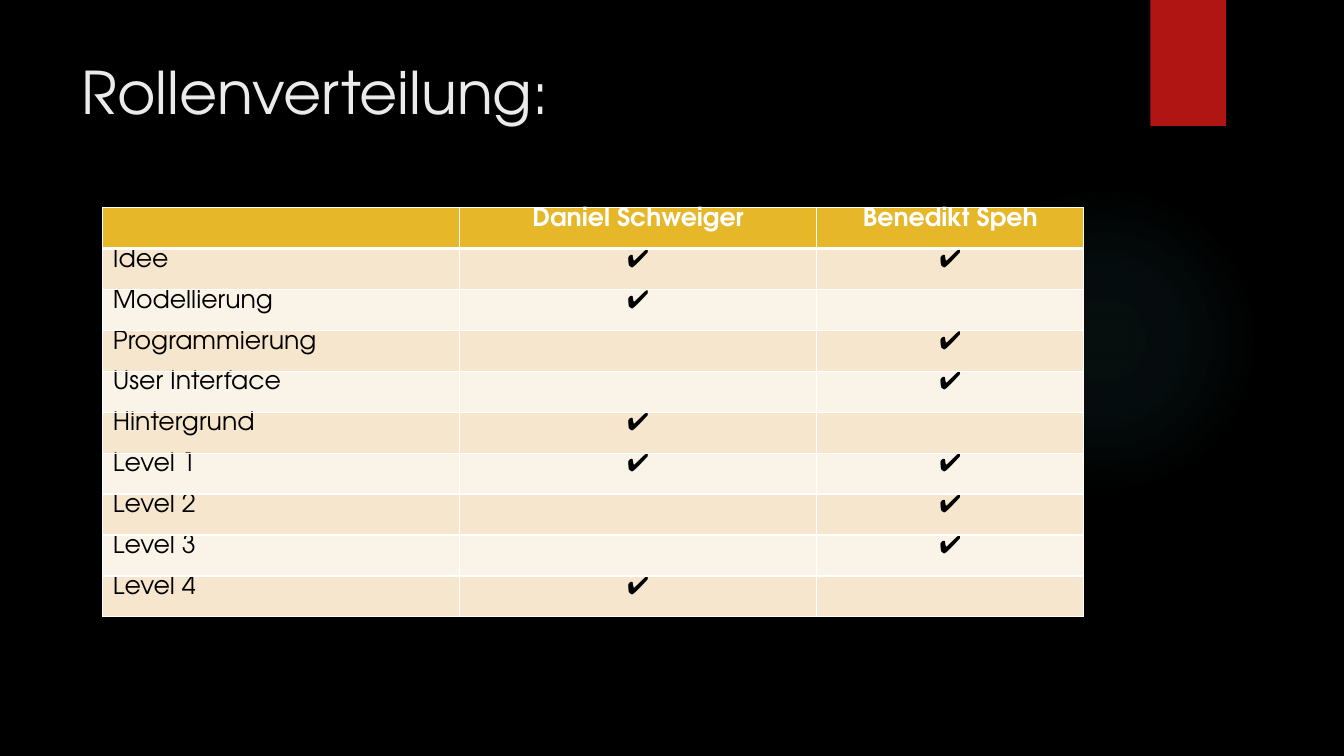
import dataclasses

import lxml.etree
import pptx
import pptx.dml.color
import pptx.dml.fill
import pptx.enum.shapes
import pptx.enum.text
import pptx.oxml
import pptx.oxml.ns
import pptx.slide
import pptx.table
import pptx.text.text
import pptx.util

SLIDE_WIDTH = pptx.util.Inches(13.33)
SLIDE_HEIGHT = pptx.util.Inches(7.5)
FONT = "TeX Gyre Adventor"
HEADER_FILL = "E6B729"
BAND_FILLS = ("F5E6CD", "FAF3E8")
CHECK = "✔"
PEOPLE = ("Daniel Schweiger", "Benedikt Speh")
COLUMN_SHARES = (26.56, 26.56, 19.88)
TITLE_FORMAT = {"name": FONT, "size": pptx.util.Pt(42), "bold": False}
HEADER_FORMAT = {"name": FONT, "size": pptx.util.Pt(18), "bold": True}
BODY_FORMAT = HEADER_FORMAT | {"bold": False}
CELL_FORMAT = {
    "margin_top": 0,
    "margin_bottom": 0,
    "vertical_anchor": pptx.enum.text.MSO_ANCHOR.TOP,
}


@dataclasses.dataclass(frozen=True)
class Area:
    left: float
    top: float
    width: float
    height: float

    def lengths(self) -> tuple[int, int, int, int]:
        return across(self.left), down(self.top), across(self.width), down(self.height)


@dataclasses.dataclass(frozen=True)
class Task:
    name: str
    daniel: bool = False
    benedikt: bool = False

    def texts(self) -> tuple[str, ...]:
        return (self.name, *(CHECK if done else "" for done in (self.daniel, self.benedikt)))


GLOW_AREA = Area(70.59, 24.4, 23.1, 41.07)
RIBBON_AREA = Area(85.6, 0, 5.63, 16.67)
TITLE_AREA = Area(5.33, 6.67, 77.19, 20.4)
TABLE_AREA = Area(7.65, 27.47, 73, 54.13)
TASKS = (
    Task("Idee", daniel=True, benedikt=True),
    Task("Modellierung", daniel=True),
    Task("Programmierung", benedikt=True),
    Task("User Interface", benedikt=True),
    Task("Hintergrund", daniel=True),
    Task("Level 1", daniel=True, benedikt=True),
    Task("Level 2", benedikt=True),
    Task("Level 3", benedikt=True),
    Task("Level 4", daniel=True),
)


def across(share: float) -> int:
    return round(SLIDE_WIDTH * share / 100)


def down(share: float) -> int:
    return round(SLIDE_HEIGHT * share / 100)


def paint(fill: pptx.dml.fill.FillFormat, color: str) -> None:
    fill.solid()
    fill.fore_color.rgb = pptx.dml.color.RGBColor.from_string(color)


def apply_format(target: object, values: dict[str, object]) -> None:
    for name, value in values.items():
        setattr(target, name, value)


def write(frame: pptx.text.text.TextFrame, text: str, color: str, values: dict[str, object]) -> None:
    span = frame.paragraphs[0].add_run()
    span.text = text
    apply_format(span.font, values)
    paint(span.font.fill, color)


def add_glow(page: pptx.slide.Slide) -> None:
    glow = page.shapes.add_shape(pptx.enum.shapes.MSO_SHAPE.OVAL, *GLOW_AREA.lengths())
    glow.shadow.inherit = False
    glow.line.fill.background()
    stops = "".join(
        f'<a:gs pos="{place * 1000}"><a:srgbClr val="50B9C1">'
        f'<a:alpha val="{opacity * 1000}"/></a:srgbClr></a:gs>'
        for place, opacity in ((0, 7), (36, 6), (69, 0))
    )
    gradient = pptx.oxml.parse_xml(
        f'<a:gradFill {pptx.oxml.ns.nsdecls("a")}><a:gsLst>{stops}</a:gsLst>'
        '<a:path path="circle"><a:fillToRect l="50000" t="50000" r="50000" b="50000"/>'
        "</a:path></a:gradFill>"
    )
    properties = glow.element.spPr
    properties.find(pptx.oxml.ns.qn("a:prstGeom")).addnext(gradient)


def add_ribbon(page: pptx.slide.Slide) -> None:
    ribbon = page.shapes.add_shape(pptx.enum.shapes.MSO_SHAPE.RECTANGLE, *RIBBON_AREA.lengths())
    ribbon.shadow.inherit = False
    ribbon.line.fill.background()
    paint(ribbon.fill, "B01513")


def add_title(page: pptx.slide.Slide) -> None:
    box = page.shapes.add_textbox(*TITLE_AREA.lengths())
    box.text_frame.word_wrap = True
    write(box.text_frame, "Rollenverteilung:", "EBEBEB", TITLE_FORMAT)


def add_borders(cell: pptx.table._Cell, top: int, bottom: int) -> None:
    properties = cell._tc.get_or_add_tcPr()
    for side, points in {"L": 1, "R": 1, "T": top, "B": bottom}.items():
        line = lxml.etree.SubElement(
            properties, pptx.oxml.ns.qn(f"a:ln{side}"), w=str(pptx.util.Pt(points))
        )
        solid = lxml.etree.SubElement(line, pptx.oxml.ns.qn("a:solidFill"))
        lxml.etree.SubElement(solid, pptx.oxml.ns.qn("a:srgbClr"), val="FFFFFF")


def fill_cell(cell: pptx.table._Cell, row: int, column: int, text: str) -> None:
    header = row == 0
    add_borders(cell, top=3 if row == 1 else 1, bottom=3 if header else 1)
    paint(cell.fill, HEADER_FILL if header else BAND_FILLS[(row - 1) % 2])
    apply_format(cell, CELL_FORMAT)
    para = cell.text_frame.paragraphs[0]
    if column:
        para.alignment = pptx.enum.text.PP_ALIGN.CENTER
    if text:
        color = "FFFFFF" if header else "000000"
        write(cell.text_frame, text, color, HEADER_FORMAT if header else BODY_FORMAT)


def add_roles(page: pptx.slide.Slide) -> None:
    rows = (("", *PEOPLE), *(task.texts() for task in TASKS))
    frame = page.shapes.add_table(len(rows), len(COLUMN_SHARES), *TABLE_AREA.lengths())
    table = frame.table
    table.horz_banding = False
    for column, share in zip(table.columns, COLUMN_SHARES):
        column.width = across(share)
    for row, texts in enumerate(rows):
        for column, text in enumerate(texts):
            fill_cell(table.cell(row, column), row, column, text)


def main() -> None:
    """Build the slide that shares out the project roles."""
    deck = pptx.Presentation()
    deck.slide_width = SLIDE_WIDTH
    deck.slide_height = SLIDE_HEIGHT
    page = deck.slides.add_slide(deck.slide_layouts[6])
    paint(page.background.fill, "000000")
    add_glow(page)
    add_ribbon(page)
    add_title(page)
    add_roles(page)
    deck.save("out.pptx")


if __name__ == "__main__":
    main()
